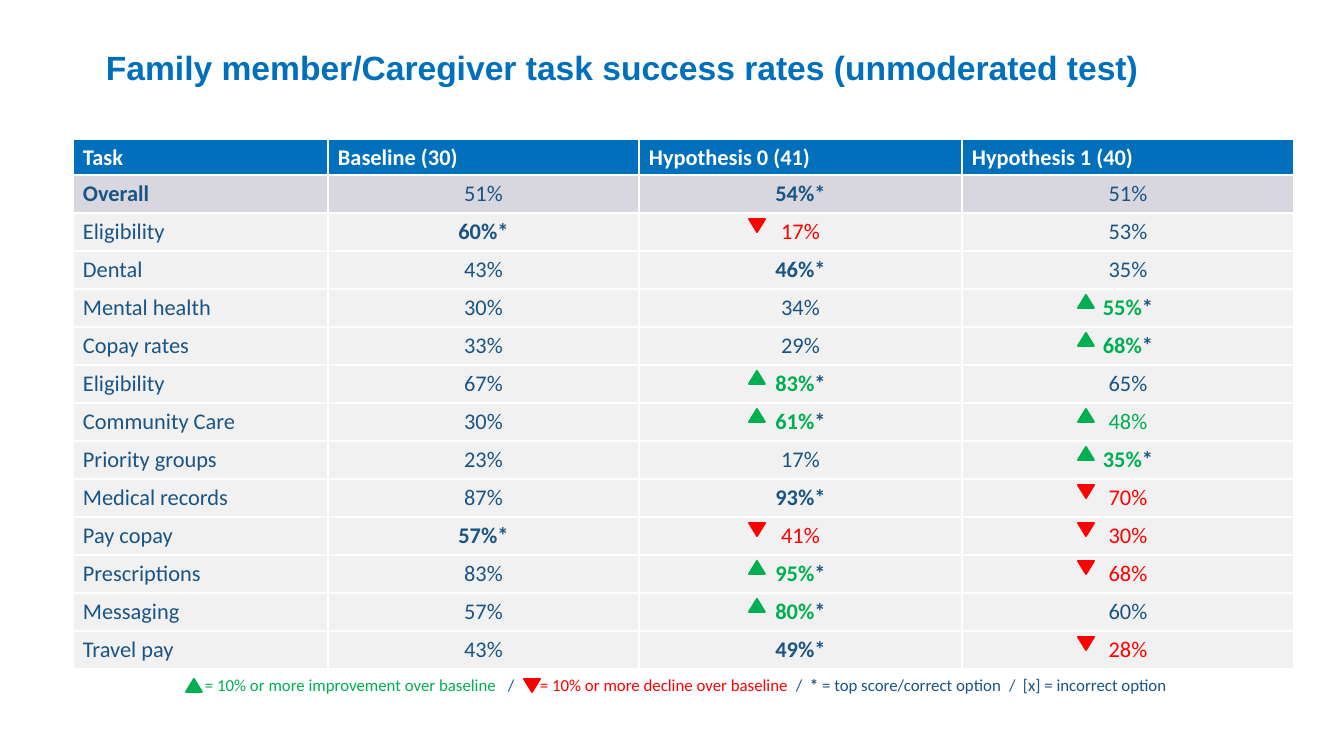
from lxml import etree
from pptx import Presentation
from pptx import util as u
from pptx.dml.color import RGBColor
from pptx.enum import shapes, text
from pptx.oxml.ns import qn

SCALE = 914400 / 134.4
COLORS = {
    "blue": "0070BC", "navy": "1A5484", "green": "00B050", "red": "FF0000",
    "white": "FFFFFF", "overall": "D8D7DF", "row": "F1F1F1",
}
TITLE = "Family member/Caregiver task success rates (unmoderated test)"
HEADINGS = ["Task", "Baseline (30)", "Hypothesis 0 (41)", "Hypothesis 1 (40)"]
RATES = [
    ("Overall", "51%", "54%*", "51%"),
    ("Eligibility", "60%*", "17%", "53%"),
    ("Dental", "43%", "46%*", "35%"),
    ("Mental health", "30%", "34%", "55%*"),
    ("Copay rates", "33%", "29%", "68%*"),
    ("Eligibility", "67%", "83%*", "65%"),
    ("Community Care", "30%", "61%*", "48%"),
    ("Priority groups", "23%", "17%", "35%*"),
    ("Medical records", "87%", "93%*", "70%"),
    ("Pay copay", "57%*", "41%", "30%"),
    ("Prescriptions", "83%", "95%*", "68%"),
    ("Messaging", "57%", "80%*", "60%"),
    ("Travel pay", "43%", "49%*", "28%"),
]
LEGEND = [
    ("= 10% or more improvement over baseline", "green", False),
    ("\t/\t", "navy", False),
    ("= 10% or more decline over baseline", "red", False),
    ("\t/\t", "navy", False),
    ("*", "navy", True),
    (" = top score/correct option\t/\t[x] = incorrect option", "navy", False),
]
LEGEND_TABS = [303, 335, 591, 605, 804, 818]
TABLE_LEFT, TABLE_TOP = 73, 139
COLUMN_WIDTHS = [255, 311, 323, 332]
HEADER_HEIGHT, ROW_HEIGHT = 36, 38
ARROW_LEFT = {2: 749, 3: 1078}
ARROW_DROP = 6
THRESHOLD = 10


def px(length):
    return u.Emu(round(length * SCALE))


def rgb(color):
    return RGBColor.from_string(COLORS[color])


def percent(rate):
    return int(rate.rstrip("%*"))


def trend(rate, baseline):
    change = percent(rate) - percent(baseline)
    if abs(change) < THRESHOLD:
        return "navy"
    return "green" if change > 0 else "red"


class Deck:
    def __init__(self, width, height):
        self.file = Presentation()
        self.file.slide_width, self.file.slide_height = px(width), px(height)
        self.slide = self.file.slides.add_slide(self.file.slide_layouts[6])

    def add_runs(self, paragraph, parts, size, font="Calibri"):
        for words, color, bold in parts:
            run = paragraph.add_run()
            run.text = words
            run.font.name, run.font.size = font, u.Pt(size)
            run.font.bold, run.font.color.rgb = bold, rgb(color)

    def textbox(self, box, insets, anchor=text.MSO_ANCHOR.TOP):
        frame = self.slide.shapes.add_textbox(*map(px, box)).text_frame
        frame.word_wrap = True
        frame.vertical_anchor = anchor
        self.inset(frame, *insets)
        return frame.paragraphs[0]

    def inset(self, holder, left, top, right, bottom):
        holder.margin_left, holder.margin_top = px(left), px(top)
        holder.margin_right, holder.margin_bottom = px(right), px(bottom)

    def tabs(self, paragraph, stops):
        tab_list = etree.SubElement(paragraph._p.get_or_add_pPr(), qn("a:tabLst"))
        for stop in stops:
            etree.SubElement(tab_list, qn("a:tab"), pos=str(px(stop)), algn="l")

    def arrow(self, left, top, color):
        arrow = self.slide.shapes.add_shape(
            shapes.MSO_SHAPE.ISOSCELES_TRIANGLE, px(left), px(top), px(16), px(13))
        arrow.shadow.inherit = False
        arrow.rotation = 180 if color == "red" else 0
        arrow.fill.solid()
        arrow.fill.fore_color.rgb = arrow.line.color.rgb = rgb(color)
        arrow.line.width = u.Pt(1)

    def table(self, left, top, widths, heights):
        table = self.slide.shapes.add_table(
            len(heights), len(widths), px(left), px(top),
            px(sum(widths)), px(sum(heights))).table
        table.horz_banding = False
        for column, width in zip(table.columns, widths):
            column.width = px(width)
        for row, height in zip(table.rows, heights):
            row.height = px(height)
        return table

    def cell(self, cell, fill, parts, centred=False):
        self.inset(cell, 10, 5, 10, 4)
        cell.fill.solid()
        cell.fill.fore_color.rgb = rgb(fill)
        for index, side in enumerate(("lnL", "lnR", "lnT", "lnB")):
            border = etree.Element(qn("a:" + side), w=str(u.Pt(1)))
            solid = etree.SubElement(border, qn("a:solidFill"))
            etree.SubElement(solid, qn("a:srgbClr"), val=COLORS["white"])
            cell._tc.get_or_add_tcPr().insert(index, border)
        paragraph = cell.text_frame.paragraphs[0]
        if centred:
            paragraph.alignment = text.PP_ALIGN.CENTER
        self.add_runs(paragraph, parts, 12)


def main():
    deck = Deck(1344, 756)

    title = deck.textbox((93, 40, 1159, 54), (13, 7, 13, 7), text.MSO_ANCHOR.MIDDLE)
    deck.add_runs(title, [(TITLE, "blue", True)], 18, "Arial")

    legend = deck.textbox((78, 672, 1216, 30), (127, 5, 10, 5))
    legend.line_spacing = 0.9
    deck.tabs(legend, LEGEND_TABS)
    deck.add_runs(legend, LEGEND, 9)
    deck.arrow(186, 679, "green")
    deck.arrow(524, 679, "red")

    heights = [HEADER_HEIGHT] + [ROW_HEIGHT] * len(RATES)
    table = deck.table(TABLE_LEFT, TABLE_TOP, COLUMN_WIDTHS, heights)
    for column, heading in enumerate(HEADINGS):
        deck.cell(table.cell(0, column), "blue", [(heading, "white", True)])

    for row, (task, *rates) in enumerate(RATES, 1):
        fill = "overall" if task == "Overall" else "row"
        row_top = TABLE_TOP + sum(heights[:row])
        deck.cell(table.cell(row, 0), fill, [(task, "navy", task == "Overall")])
        for column, rate in enumerate(rates, 1):
            color = trend(rate, rates[0])
            best = rate.endswith("*")
            parts = [(rate.rstrip("*"), color, best)]
            if best:
                parts.append(("*", "navy", True))
            deck.cell(table.cell(row, column), fill, parts, centred=True)
            if color != "navy":
                deck.arrow(ARROW_LEFT[column], row_top + ARROW_DROP, color)

    deck.file.save("out.pptx")


if __name__ == "__main__":
    main()
